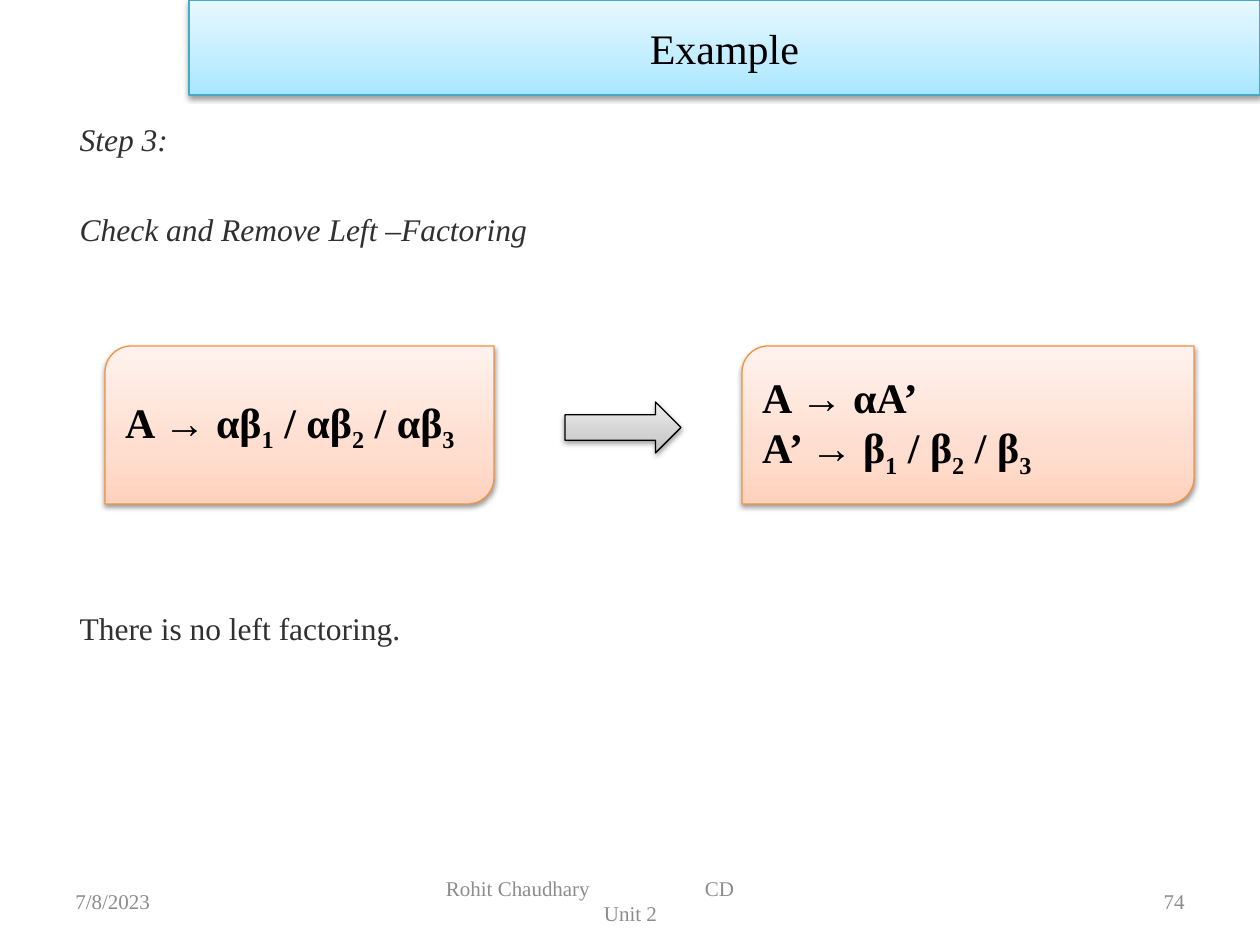
from copy import deepcopy
from dataclasses import dataclass

from lxml import etree
from pptx import Presentation, util as u
from pptx.dml.color import RGBColor
from pptx.enum import shapes, text
from pptx.oxml.ns import qn


@dataclass(frozen=True)
class Theme:
    font: str = "Times New Roman"
    ink: str = "000000"
    body: str = "303030"
    muted: str = "8C8C8C"
    large: int = 24
    medium: int = 18
    small: int = 12
    blue: tuple = ("A7E6FF", "C1EDFF", "E7F8FF")
    blue_line: str = "46AAC5"
    orange: tuple = ("FFD2BD", "FFDED0", "FFF2ED")
    orange_line: str = "F69240"
    grey: tuple = ("BDBDBD", "D1D1D1", "EEEEEE")


THEME = Theme()
STOPS = (0, 0.35, 1)


def px(length):
    return u.Emu(round(length * 914400 / 126))


def place(shape, box):
    shape.left, shape.top, shape.width, shape.height = map(px, box)


def style(font, size, color, bold=False, italic=False):
    font.name, font.size = THEME.font, u.Pt(size)
    font.bold, font.italic = bold, italic
    font.color.rgb = RGBColor.from_string(color)


def add_child(parent, tag, **attributes):
    return etree.SubElement(parent, qn(tag), attributes)


def decorate(shape, colors, line_color):
    """Give a shape an upward gradient, a thin outline and a soft shadow below."""
    shape.fill.gradient()
    shape.fill.gradient_angle = 90
    properties = shape._element.spPr
    stop_list = properties.find(qn("a:gradFill")).find(qn("a:gsLst"))
    stop_list.insert(1, deepcopy(stop_list[0]))
    for stop, position, color in zip(shape.fill.gradient_stops, STOPS, colors):
        stop.position = position
        stop.color.rgb = RGBColor.from_string(color)
    shape.line.color.rgb = RGBColor.from_string(line_color)
    shape.line.width = u.Pt(0.75)
    if shape.is_placeholder:
        effects = add_child(properties, "a:effectLst")
    else:
        shape.shadow.inherit = False
        effects = properties.find(qn("a:effectLst"))
    shadow = add_child(effects, "a:outerShdw", blurRad="40000", dist="20000",
                       dir="5400000", rotWithShape="0")
    color = add_child(shadow, "a:srgbClr", val=THEME.ink)
    add_child(color, "a:alpha", val="38000")


def add_title(page, box, title):
    banner = page.shapes.title
    place(banner, box)
    decorate(banner, THEME.blue, THEME.blue_line)
    banner.text_frame.text = title
    banner.text_frame.auto_size = text.MSO_AUTO_SIZE.NONE
    banner.text_frame.vertical_anchor = text.MSO_ANCHOR.MIDDLE
    para = banner.text_frame.paragraphs[0]
    para.alignment = text.PP_ALIGN.CENTER
    style(para.runs[0].font, THEME.large, THEME.ink)


def add_body(page, box, lines):
    """Fill the body with (text, gap before in px, italic) lines."""
    body = page.placeholders[1]
    place(body, box)
    frame = body.text_frame
    frame.auto_size = text.MSO_AUTO_SIZE.NONE
    frame.margin_top = px(8)
    frame.text = "\n".join(line for line, _, _ in lines)
    for para, (_, gap, italic) in zip(frame.paragraphs, lines):
        para.alignment = text.PP_ALIGN.JUSTIFY
        para.space_before = px(gap)
        properties = para._p.get_or_add_pPr()
        properties.set("marL", "0")
        properties.set("indent", "0")
        add_child(properties, "a:buNone")
        style(para.runs[0].font, THEME.medium, THEME.body, italic=italic)


def add_rule_box(page, box, rules):
    """Show grammar rules; digits are subscripts and arrows are not bold."""
    shape = page.shapes.add_shape(shapes.MSO_SHAPE.ROUND_2_DIAG_RECTANGLE,
                                  *map(px, box))
    decorate(shape, THEME.orange, THEME.orange_line)
    frame = shape.text_frame
    frame.word_wrap = True
    frame.vertical_anchor = text.MSO_ANCHOR.MIDDLE
    for index, rule in enumerate(rules):
        para = frame.add_paragraph() if index else frame.paragraphs[0]
        para.alignment = text.PP_ALIGN.LEFT
        for part in rule:
            span = para.add_run()
            span.text = part
            style(span.font, THEME.large, THEME.ink, bold="→" not in part)
            if part.isdigit():
                span.font._element.set("baseline", "-25000")


def add_factoring(page, box):
    left, top, width, height = box
    add_rule_box(page, (left, top, 389, height),
                 [("A ", "→ ", "αβ", "1", " / αβ", "2", " / αβ", "3")])
    add_rule_box(page, (left + width - 452, top, 452, height),
                 [("A ", "→ ", "αA’"),
                  ("A’ ", "→ ", "β", "1", " / β", "2", " / β", "3")])
    arrow = page.shapes.add_shape(shapes.MSO_SHAPE.RIGHT_ARROW,
                                  *map(px, (left + 460, top + 56, 116, 51)))
    decorate(arrow, THEME.grey, THEME.ink)


def add_footer_part(page, box, lines, alignment):
    shape = page.shapes.add_textbox(*map(px, box))
    frame = shape.text_frame
    frame.word_wrap = True
    frame.vertical_anchor = text.MSO_ANCHOR.MIDDLE
    frame.text = "\n".join(lines)
    for para in frame.paragraphs:
        para.alignment = alignment
        for span in para.runs:
            style(span.font, THEME.small, THEME.muted)
    return frame


def add_footer(page, box):
    left, top, width, height = box
    align = text.PP_ALIGN
    add_footer_part(page, (left, top, 294, height), ["7/8/2023"], align.LEFT)
    add_footer_part(page, (left + width - 294, top, 294, height), ["74"], align.RIGHT)
    frame = add_footer_part(page, (left + 368, top, 399, height),
                            ["Rohit Chaudhary\tCD", "Unit 2"], align.CENTER)
    frame.margin_left = frame.margin_right = px(15)
    course = frame.paragraphs[0]
    course.alignment = align.LEFT
    tabs = add_child(course._p.get_or_add_pPr(), "a:tabLst")
    add_child(tabs, "a:tab", pos=str(px(259)), algn="l")


def main():
    deck = Presentation()
    deck.slide_width, deck.slide_height = px(1260), px(945)
    page = deck.slides.add_slide(deck.slide_layouts[1])
    add_title(page, (189, 0, 1071, 95), "Example")
    add_body(page, (67, 112, 1134, 697), [
        ("Step 3:", 0, True),
        ("Check and Remove Left –Factoring", 52, True),
        ("There is no left factoring.", 361, False),
    ])
    add_factoring(page, (105, 346, 1089, 158))
    add_footer(page, (63, 876, 1134, 50))
    deck.save("out.pptx")


if __name__ == "__main__":
    main()
